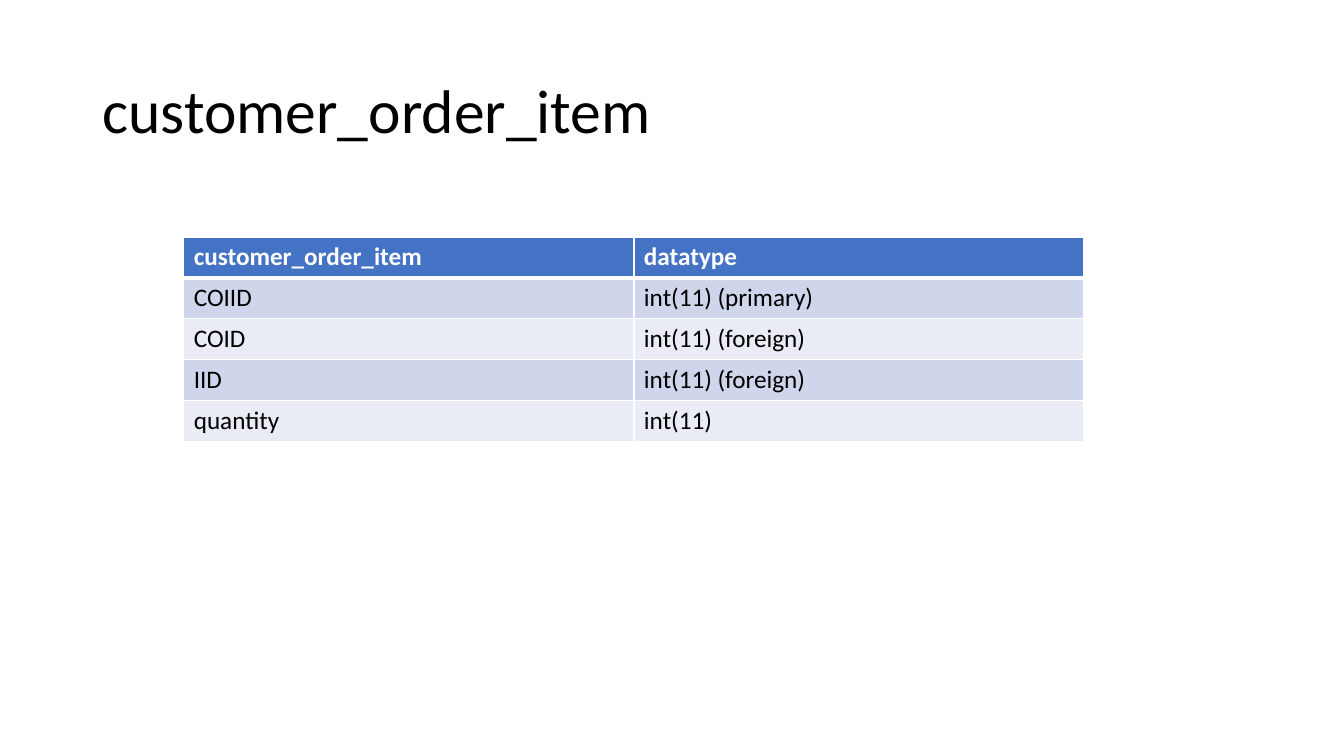
"""Builds the slide that describes the columns of customer_order_item."""
from lxml import etree
from pptx import Presentation
from pptx import util as u
from pptx.dml.color import RGBColor
from pptx.enum import text
from pptx.oxml.ns import qn

BLACK = RGBColor(0x00, 0x00, 0x00)
WHITE = RGBColor(0xFF, 0xFF, 0xFF)
HEADER_BLUE = RGBColor(0x44, 0x72, 0xC4)
BAND_DARK = RGBColor(0xCF, 0xD5, 0xEA)
BAND_LIGHT = RGBColor(0xE9, 0xEB, 0xF5)

COLUMNS = [
    ("customer_order_item", "datatype"),
    ("COIID", "int(11) (primary)"),
    ("COID", "int(11) (foreign)"),
    ("IID", "int(11) (foreign)"),
    ("quantity", "int(11)"),
]


def write(frame, wording, size=18, color=BLACK, bold=False, font="Calibri", spacing=1.0):
    paragraph = frame.paragraphs[0]
    paragraph.alignment = text.PP_ALIGN.LEFT
    paragraph.line_spacing = spacing
    run = paragraph.add_run()
    run.text = wording
    run.font.name = font
    run.font.size = u.Pt(size)
    run.font.bold = bold
    run.font.color.rgb = color


class SchemaSlide:
    def __init__(self, deck):
        self.border = WHITE
        self.thin, self.thick = 1, 3
        self.slide = deck.slides.add_slide(deck.slide_layouts[5])

    def title(self, wording, left, top, width, height):
        heading = self.slide.shapes.title
        heading.left, heading.top = u.Cm(left), u.Cm(top)
        heading.width, heading.height = u.Cm(width), u.Cm(height)
        heading.text_frame.word_wrap = True
        heading.text_frame.auto_size = text.MSO_AUTO_SIZE.NONE
        heading.text_frame.vertical_anchor = text.MSO_ANCHOR.MIDDLE
        write(heading.text_frame, wording, size=44, spacing=0.9)

    def edge(self, cell, side, points):
        properties = cell._tc.get_or_add_tcPr()
        line = etree.SubElement(properties, qn(f"a:ln{side}"), w=str(u.Pt(points)))
        fill = etree.SubElement(line, qn("a:solidFill"))
        etree.SubElement(fill, qn("a:srgbClr"), val=str(self.border))

    def table(self, rows, left, top, width, row_height):
        grid = self.slide.shapes.add_table(
            len(rows), len(rows[0]), u.Cm(left), u.Cm(top),
            u.Cm(width), u.Cm(row_height * len(rows))).table
        for r, row in enumerate(rows):
            header = r == 0
            band = HEADER_BLUE if header else (BAND_LIGHT, BAND_DARK)[r % 2]
            for c, wording in enumerate(row):
                cell = grid.cell(r, c)
                self.edge(cell, "L", self.thin)
                self.edge(cell, "R", self.thin)
                self.edge(cell, "T", self.thick if r == 1 else self.thin)
                self.edge(cell, "B", self.thick if header else self.thin)
                cell.fill.solid()
                cell.fill.fore_color.rgb = band
                write(cell.text_frame, wording, bold=header,
                      color=WHITE if header else BLACK)


def main():
    deck = Presentation()
    deck.slide_width, deck.slide_height = u.Cm(33.87), u.Cm(19.05)
    schema = SchemaSlide(deck)
    schema.title(COLUMNS[0][0], 2.33, 1.01, 29.21, 3.68)
    schema.table(COLUMNS, 4.63, 5.97, 22.69, 1.03)
    deck.save("out.pptx")


if __name__ == "__main__":
    main()
